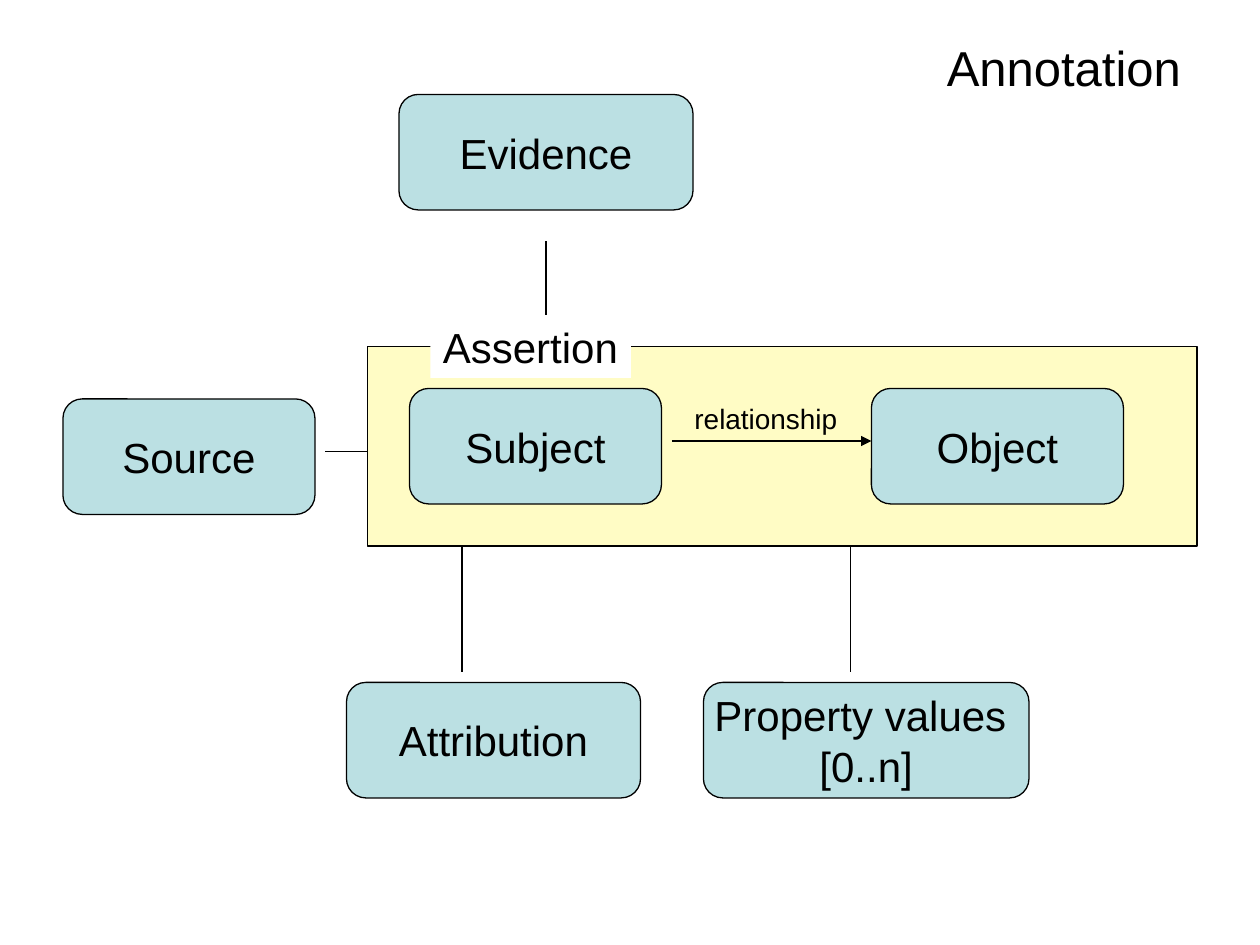
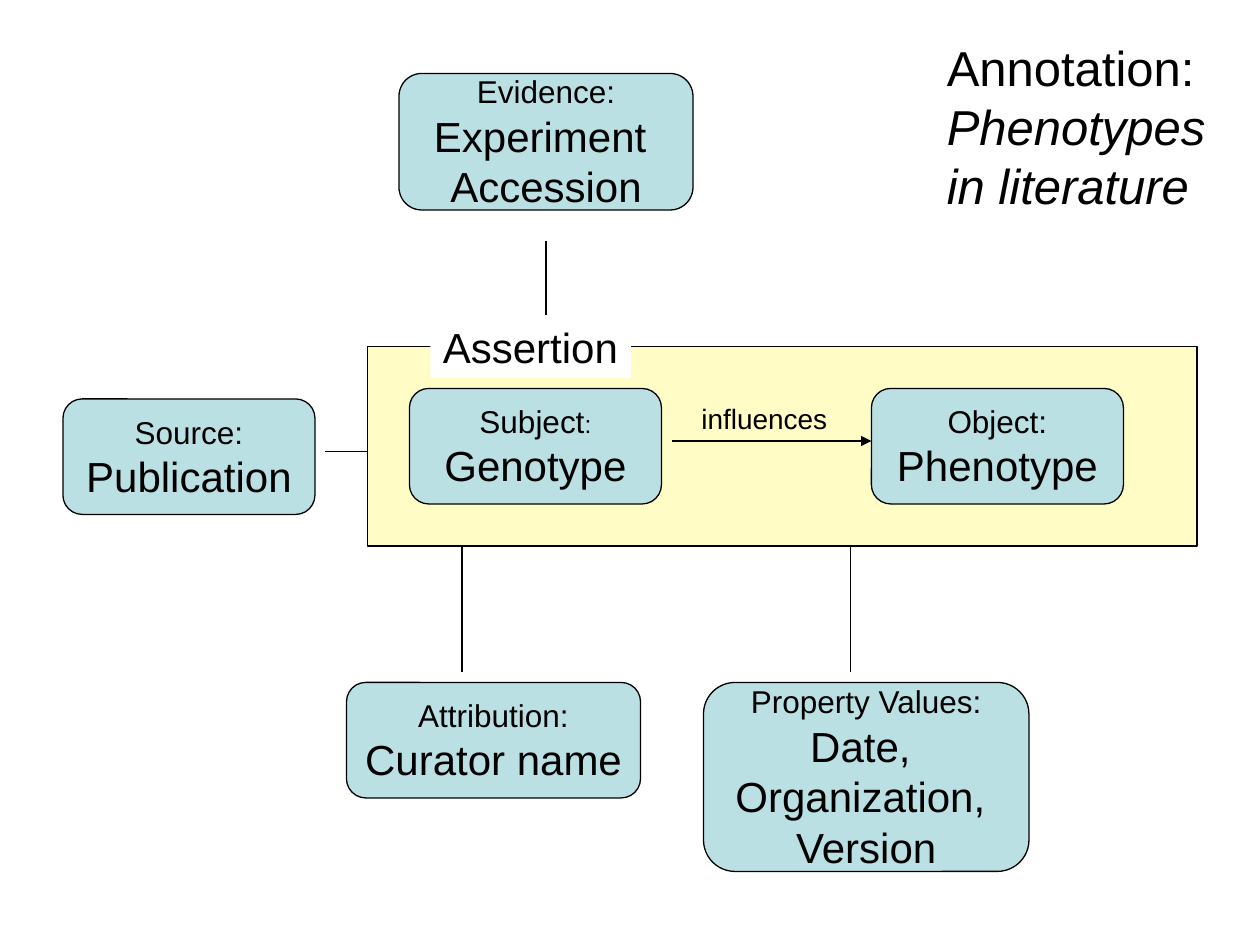
from lxml import etree
from pptx import Presentation
from pptx.dml.color import RGBColor
from pptx.enum import shapes, text
from pptx.oxml import ns
from pptx.util import Pt

BLACK = RGBColor(0x00, 0x00, 0x00)
WHITE = RGBColor(0xFF, 0xFF, 0xFF)
CREAM = RGBColor(0xFF, 0xFC, 0xC5)
TEAL = RGBColor(0xBB, 0xE0, 0xE3)

RECTANGLE = shapes.MSO_SHAPE.RECTANGLE
ROUNDED = shapes.MSO_SHAPE.ROUNDED_RECTANGLE
LEFT, CENTER = text.PP_ALIGN.LEFT, text.PP_ALIGN.CENTER

LARGE = {"size": Pt(24)}
SMALL = {"size": Pt(18)}
COLON = {"size": Pt(14)}
RELATION = {"size": Pt(16)}
TITLE = {"size": Pt(28)}
SUBTITLE = {"size": Pt(28), "italic": True}

BOX_FRAME = {"word_wrap": False, "auto_size": text.MSO_AUTO_SIZE.NONE,
             "vertical_anchor": text.MSO_ANCHOR.MIDDLE}
LABEL_FRAME = {"word_wrap": False, "auto_size": text.MSO_AUTO_SIZE.SHAPE_TO_FIT_TEXT,
               "vertical_anchor": text.MSO_ANCHOR.TOP}


def add_panel(slide, kind, bounds, fill, outlined=True):
    shape = slide.shapes.add_shape(kind, *map(Pt, bounds))
    shape.shadow.inherit = False
    shape.fill.solid()
    shape.fill.fore_color.rgb = fill
    if outlined:
        shape.line.color.rgb = BLACK
        shape.line.width = Pt(0.75)
    else:
        shape.line.fill.background()
    return shape


def write_text(shape, paragraphs, frame_format, alignment):
    frame = shape.text_frame
    for name, value in frame_format.items():
        setattr(frame, name, value)
    for index, runs in enumerate(paragraphs):
        paragraph = frame.paragraphs[0] if index == 0 else frame.add_paragraph()
        paragraph.alignment = alignment
        for words, font_format in runs:
            run = paragraph.add_run()
            run.text = words
            run.font.name = "Arial"
            run.font.color.rgb = BLACK
            for name, value in font_format.items():
                setattr(run.font, name, value)


BOXES = {
    "subject": (234, 222, 144, 66),
    "object": (498, 222, 144, 66),
    "source": (36, 228, 144, 66),
    "attribution": (198, 390, 168, 66),
    "evidence": (228, 54, 168, 66),
    "properties": (402, 390, 186, 66),
}
LINKS = [
    (312, 138, 312, 180),
    (186, 258, 210, 258),
    (264, 312, 264, 384),
    (486, 312, 486, 384),
]
RELATION_ARROW = (384, 252, 498, 252)

DIAGRAMS = [
    {
        "title": [[("Annotation", TITLE)]],
        "title_size": (150, 41),
        "relation": "relationship",
        "relation_span": (389.8, 97),
        "resized": {},
        "boxes": {
            "subject": [[("Subject", LARGE)]],
            "object": [[("Object", LARGE)]],
            "source": [[("Source", LARGE)]],
            "attribution": [[("Attribution", LARGE)]],
            "evidence": [[("Evidence", LARGE)]],
            "properties": [[("Property values ", LARGE)], [("[0..n]", LARGE)]],
        },
    },
    {
        "title": [[("Annotation:", TITLE)], [("Phenotypes", SUBTITLE)],
                  [("in literature", SUBTITLE)]],
        "title_size": (172, 108),
        "relation": "influences",
        "relation_span": (393.8, 88),
        "resized": {"evidence": (228, 42, 168, 78), "properties": (402, 390, 186, 108)},
        "boxes": {
            "subject": [[("Subject", SMALL), (":", COLON)], [("Genotype", LARGE)]],
            "object": [[("Object:", SMALL)], [("Phenotype", LARGE)]],
            "source": [[("Source:", SMALL)], [("Publication", LARGE)]],
            "attribution": [[("Attribution:", SMALL)], [("Curator name", LARGE)]],
            "evidence": [[("Evidence:", SMALL)], [("Experiment ", LARGE)],
                         [("Accession", LARGE)]],
            "properties": [[("Property Values:", SMALL)], [("Date, ", LARGE)],
                           [("Organization, ", LARGE)], [("Version", LARGE)]],
        },
    },
]

presentation = Presentation()
presentation.slide_width = Pt(720)
presentation.slide_height = Pt(540)

for diagram in DIAGRAMS:
    slide = presentation.slides.add_slide(presentation.slide_layouts[6])
    add_panel(slide, RECTANGLE, (210, 198, 474, 114), CREAM)

    bounds = BOXES | diagram["resized"]
    for name, paragraphs in diagram["boxes"].items():
        box = add_panel(slide, ROUNDED, bounds[name], TEAL)
        box.adjustments[0] = 0.167
        write_text(box, paragraphs, BOX_FRAME, CENTER)

    assertion = add_panel(slide, RECTANGLE, (246, 180, 114.5, 36), WHITE, outlined=False)
    write_text(assertion, [[("Assertion", LARGE)]], LABEL_FRAME, LEFT)

    for ends in [RELATION_ARROW, *LINKS]:
        connector = slide.shapes.add_connector(
            shapes.MSO_CONNECTOR.STRAIGHT, *map(Pt, ends))
        connector.line.color.rgb = BLACK
        connector.line.width = Pt(0.75)
        if ends == RELATION_ARROW:
            etree.SubElement(connector.line._get_or_add_ln(), ns.qn("a:tailEnd"),
                             type="triangle")
        etree.SubElement(connector._element.spPr, ns.qn("a:effectLst"))

    relation_left, relation_width = diagram["relation_span"]
    labels = [
        ((relation_left, 226, relation_width, 26.6), [[(diagram["relation"], RELATION)]]),
        ((534, 18, *diagram["title_size"]), diagram["title"]),
    ]
    for label_bounds, paragraphs in labels:
        label = slide.shapes.add_textbox(*map(Pt, label_bounds))
        write_text(label, paragraphs, LABEL_FRAME, LEFT)

presentation.save("out.pptx")
